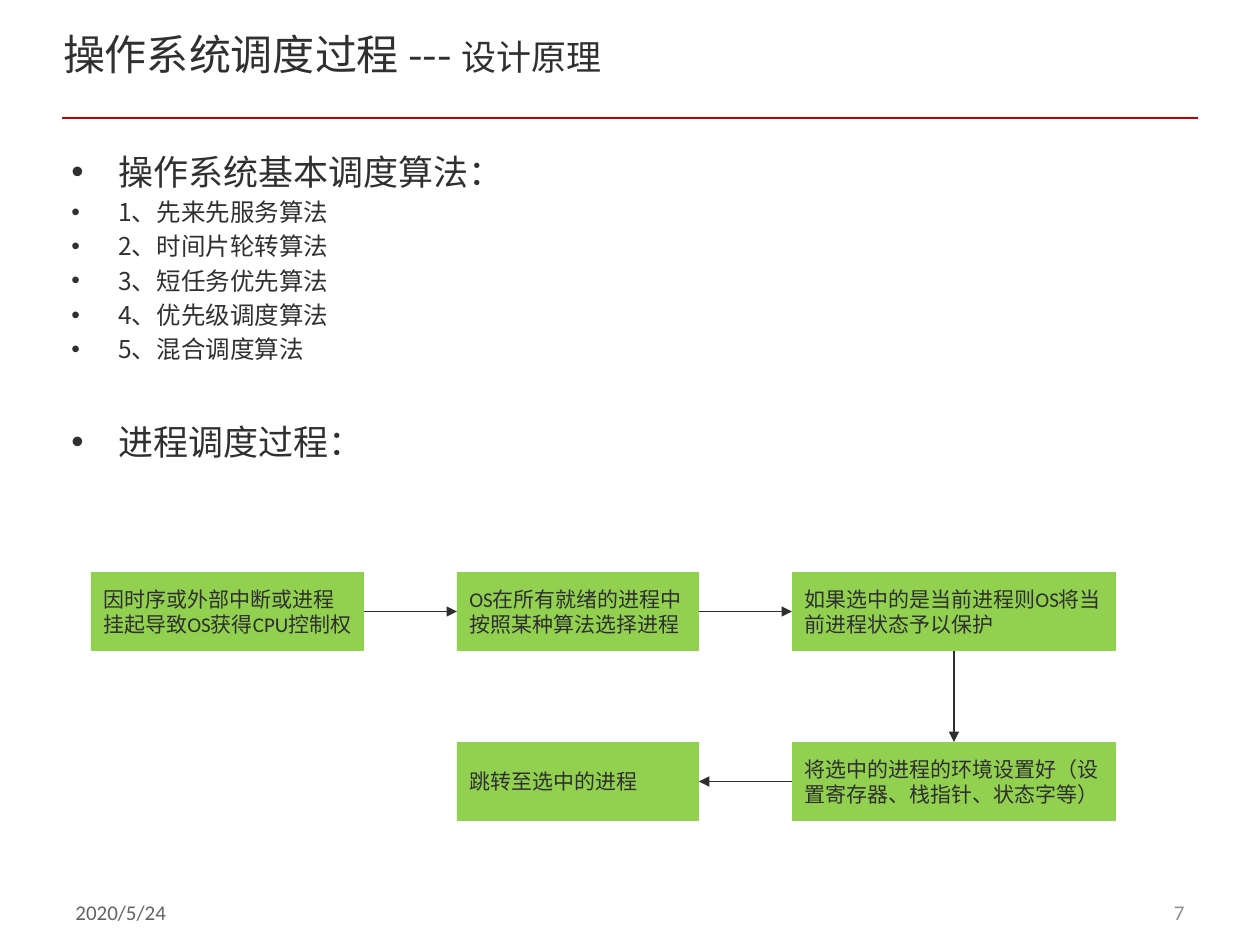
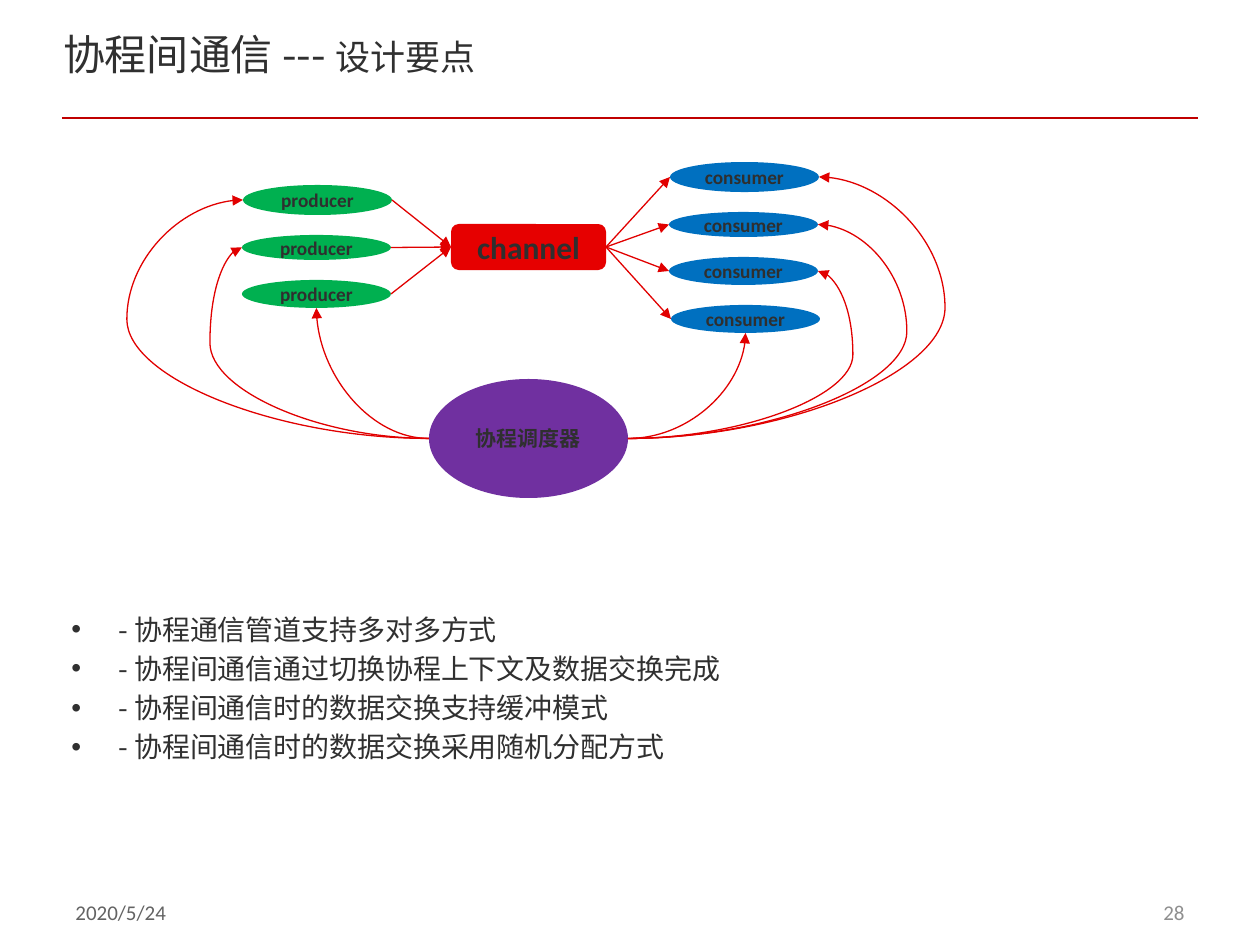
from dataclasses import dataclass

from lxml import etree
from pptx import Presentation
from pptx import util as u
from pptx.dml.color import RGBColor
from pptx.enum import shapes, text
from pptx.oxml.ns import qn

MSO = shapes.MSO_SHAPE
KIND = shapes.MSO_CONNECTOR
ALIGN = text.PP_ALIGN
ANCHOR = text.MSO_ANCHOR
TOP, LEFT, BOTTOM, RIGHT = range(4)  # connection sites of a rectangle


@dataclass(frozen=True)
class Theme:
    heading_font: str = "Noto Sans CJK SC"
    label_font: str = "Calibri"
    heading: str = "303030"
    label: str = "2F2F2F"
    rule: str = "C00000"
    date: str = "636363"
    number: str = "8F8F8F"
    step: str = "92D050"
    channel: str = "E60000"
    producer: str = "00B050"
    consumer: str = "0070C0"
    scheduler: str = "7030A0"
    link: str = "E10000"
    title_size: int = 24
    subtitle_size: int = 20
    topic_size: int = 20
    item_size: int = 14
    point_size: int = 16
    label_size: int = 12
    node_size: int = 11
    channel_size: int = 18
    line_height: float = 1.17  # lines and gaps are in ems
    gap: float = 0.23


T = Theme()


def px(n):
    return u.Emu(round(n * 914400 / 126))


def style(r, size, color, font, bold=False):
    r.font.size = u.Pt(size)
    r.font.bold = bold
    r.font.name = font
    r.font.color.rgb = RGBColor.from_string(color)
    ea = etree.Element(qn("a:ea"), typeface=font)
    r.font._element.find(qn("a:latin")).addnext(ea)


def no_margins(tf):
    tf.margin_left = tf.margin_right = tf.margin_top = tf.margin_bottom = 0


# Text
def add_title(s, main, sub):
    sp = s.shapes.title
    sp.left, sp.top, sp.width, sp.height = px(63), px(25), px(974), px(88)
    tf = sp.text_frame
    no_margins(tf)
    tf.auto_size = text.MSO_AUTO_SIZE.NONE
    tf.vertical_anchor = ANCHOR.TOP
    p = tf.paragraphs[0]
    p.alignment = ALIGN.LEFT
    p.line_spacing = u.Pt(31)
    for words, size in ((main + " --- ", T.title_size), (sub, T.subtitle_size)):
        r = p.add_run()
        r.text = words
        style(r, size, T.heading, T.heading_font)


def add_footer_text(s, x, words, color, align):
    sp = s.shapes.add_textbox(px(x), px(879), px(294), px(67))
    tf = sp.text_frame
    tf.word_wrap = True
    tf.vertical_anchor = ANCHOR.MIDDLE
    tf.text = words
    p = tf.paragraphs[0]
    p.alignment = align
    style(p.runs[0], T.label_size, color, T.label_font)


def add_bullets(s, y, h, items):
    """Items are (words, size, space before in points or None)."""
    tf = s.shapes.add_textbox(px(59), px(y), px(1134), px(h)).text_frame
    tf.word_wrap = True
    tf.text = "\n".join(words for words, _, _ in items)
    for p, (_, size, before) in zip(tf.paragraphs, items):
        p.line_spacing = u.Pt(size * T.line_height)
        p.space_before = u.Pt(size * T.gap if before is None else before)
        style(p.runs[0], size, T.heading, T.heading_font)
        pPr = p._p.get_or_add_pPr()
        pPr.set("marL", str(px(47)))
        pPr.set("indent", str(-px(47)))
        etree.SubElement(pPr, qn("a:buFont"), typeface="Arial")
        etree.SubElement(pPr, qn("a:buChar"), char="•")


# Shapes and lines
def add_box(s, kind, box, fill, words, size, align=ALIGN.CENTER, bold=True):
    sp = s.shapes.add_shape(kind, *map(px, box))
    sp.shadow.inherit = False
    sp.fill.solid()
    sp.fill.fore_color.rgb = RGBColor.from_string(fill)
    sp.line.fill.background()
    tf = sp.text_frame
    tf.word_wrap = True
    tf.vertical_anchor = ANCHOR.MIDDLE
    tf.text = words
    p = tf.paragraphs[0]
    p.alignment = align
    style(p.runs[0], size, T.label, T.label_font, bold)
    return sp


def add_node(s, kind, box, fill, words, size):
    sp = add_box(s, kind, box, fill, words, size)
    no_margins(sp.text_frame)
    return sp


def add_line(s, start, end, color, width=0.75, kind=KIND.STRAIGHT, arrow=True):
    c = s.shapes.add_connector(kind, *start, *end)
    c.line.color.rgb = RGBColor.from_string(color)
    c.line.width = u.Pt(width)
    if arrow:
        etree.SubElement(c.line._get_or_add_ln(), qn("a:tailEnd"), type="triangle")
    etree.SubElement(c._element.spPr, qn("a:effectLst"))
    return c


def site(sp, side):
    cx, cy = sp.left + sp.width // 2, sp.top + sp.height // 2
    return {TOP: (cx, sp.top), LEFT: (sp.left, cy),
            BOTTOM: (cx, sp.top + sp.height), RIGHT: (sp.left + sp.width, cy)}[side]


def add_curve(s, start, end, bend=None):
    """An S or C curve through x = bend, or a quarter turn without one."""
    c = add_line(s, start, end, T.link, kind=KIND.CURVE)
    geom = c._element.spPr.find(qn("a:prstGeom"))
    if bend is None:
        geom.set("prst", "curvedConnector2")
        return
    adj = round((px(bend) - start[0]) / (end[0] - start[0]) * 100000)
    av = geom.find(qn("a:avLst"))
    if av is None:
        av = etree.SubElement(geom, qn("a:avLst"))
    etree.SubElement(av, qn("a:gd"), name="adj1", fmla=f"val {adj}")


# Slides
def new_slide(prs, main, sub, number):
    s = prs.slides.add_slide(prs.slide_layouts[5])
    add_line(s, (px(62), px(118)), (px(1198), px(118)), T.rule, 1, arrow=False)
    add_footer_text(s, 63, "2020/5/24", T.date, ALIGN.LEFT)
    add_footer_text(s, 903, number, T.number, ALIGN.RIGHT)
    add_title(s, main, sub)
    return s


def scheduling_slide(prs):
    s = new_slide(prs, "操作系统调度过程", "设计原理", "7")
    algorithms = ["先来先服务算法", "时间片轮转算法", "短任务优先算法",
                  "优先级调度算法", "混合调度算法"]
    add_bullets(s, 145, 709, [
        ("操作系统基本调度算法：", T.topic_size, 2),
        *((f"{i}、{name}", T.item_size, None) for i, name in enumerate(algorithms, 1)),
        ("进程调度过程：", T.topic_size, 33),
    ])

    # Flow: three steps to the right, one down, one back
    columns = [(91, 273), (457, 242), (792, 324)]
    rows = [572, 742]
    steps = [
        (0, 0, "因时序或外部中断或进程挂起导致OS获得CPU控制权"),
        (1, 0, "OS在所有就绪的进程中按照某种算法选择进程"),
        (2, 0, "如果选中的是当前进程则OS将当前进程状态予以保护"),
        (2, 1, "将选中的进程的环境设置好（设置寄存器、栈指针、状态字等）"),
        (1, 1, "跳转至选中的进程"),
    ]
    boxes = []
    for col, row, words in steps:
        x, w = columns[col]
        boxes.append(add_box(s, MSO.RECTANGLE, (x, rows[row], w, 79), T.step,
                             words, T.label_size, ALIGN.LEFT, False))
    sides = [(RIGHT, LEFT), (RIGHT, LEFT), (BOTTOM, TOP), (LEFT, RIGHT)]
    for a, b, (leave, enter) in zip(boxes, boxes[1:], sides):
        c = add_line(s, site(a, leave), site(b, enter), T.label)
        c.begin_connect(a, leave)
        c.end_connect(b, enter)


def channel_slide(prs):
    s = new_slide(prs, "协程间通信", "设计要点", "28")
    points = ["协程通信管道支持多对多方式", "协程间通信通过切换协程上下文及数据交换完成",
              "协程间通信时的数据交换支持缓冲模式", "协程间通信时的数据交换采用随机分配方式"]
    add_bullets(s, 607, 246, [("- " + words, T.point_size, None if i else 2)
                              for i, words in enumerate(points)])

    channel = add_node(s, MSO.ROUNDED_RECTANGLE, (451, 224, 155, 46),
                       T.channel, "channel", T.channel_size)
    scheduler = add_node(s, MSO.OVAL, (429, 379, 199, 119),
                         T.scheduler, "协程调度器", T.label_size)

    # Each end is x, y, height and the bend of its curve from the scheduler
    producers = [(243, 185, 30, 127), (242, 235, 25, 210), (242, 280, 28, None)]
    consumers = [(670, 162, 30, 945), (669, 212, 25, 907),
                 (669, 257, 28, 853), (671, 305, 28, None)]
    groups = [("producer", T.producer, producers, LEFT, RIGHT),
              ("consumer", T.consumer, consumers, RIGHT, LEFT)]
    for words, fill, ends, outer, inner in groups:
        for x, y, h, bend in ends:
            sp = add_node(s, MSO.OVAL, (x, y, 149, h), fill, words, T.node_size)
            ports = [site(sp, inner), site(channel, outer)]
            if words == "consumer":
                ports.reverse()
            add_line(s, *ports, T.link)
            target = site(sp, BOTTOM if bend is None else outer)
            add_curve(s, site(scheduler, outer), target, bend)


def main():
    prs = Presentation()
    prs.slide_width, prs.slide_height = px(1260), px(945)
    scheduling_slide(prs)
    channel_slide(prs)
    prs.save("out.pptx")


main()
